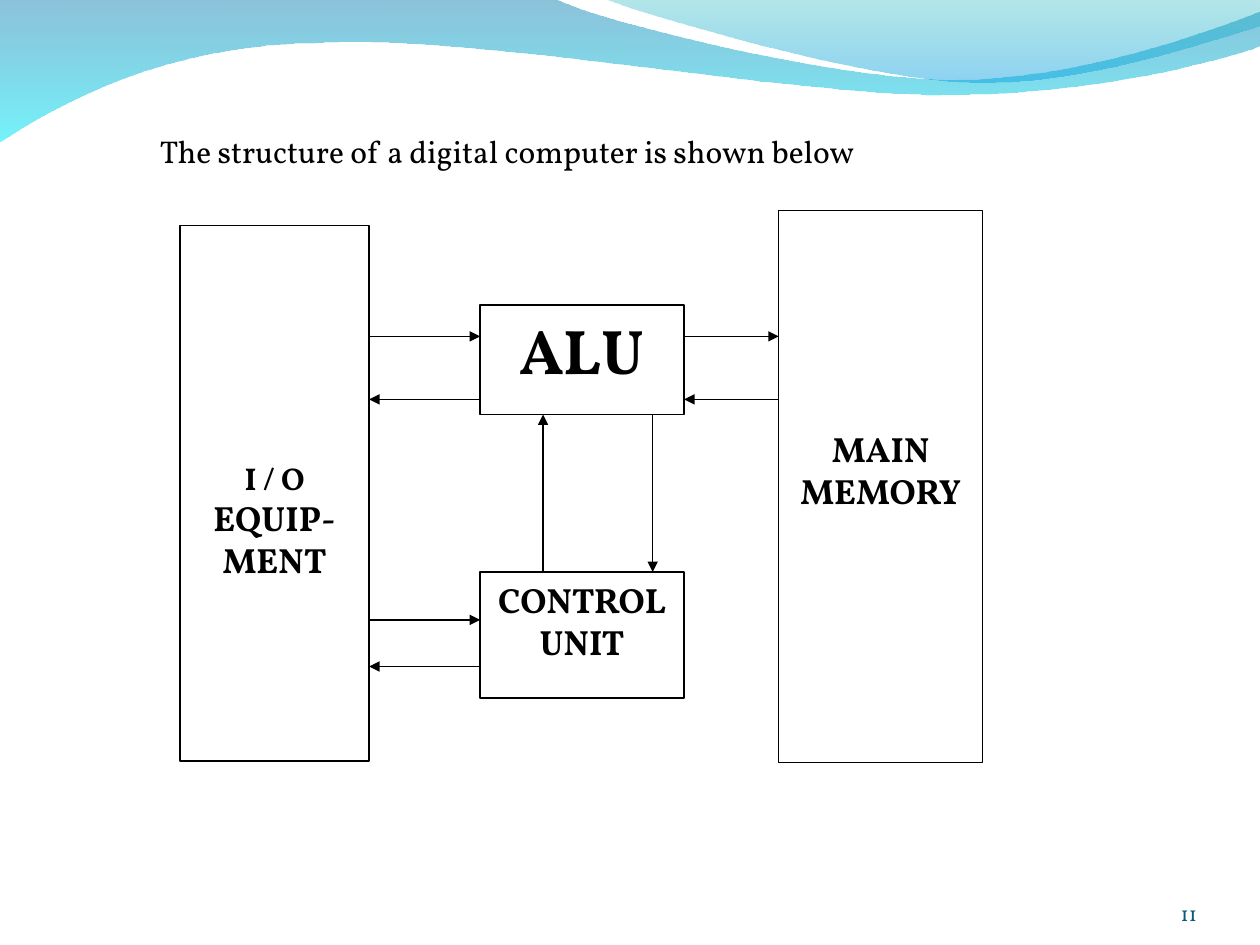
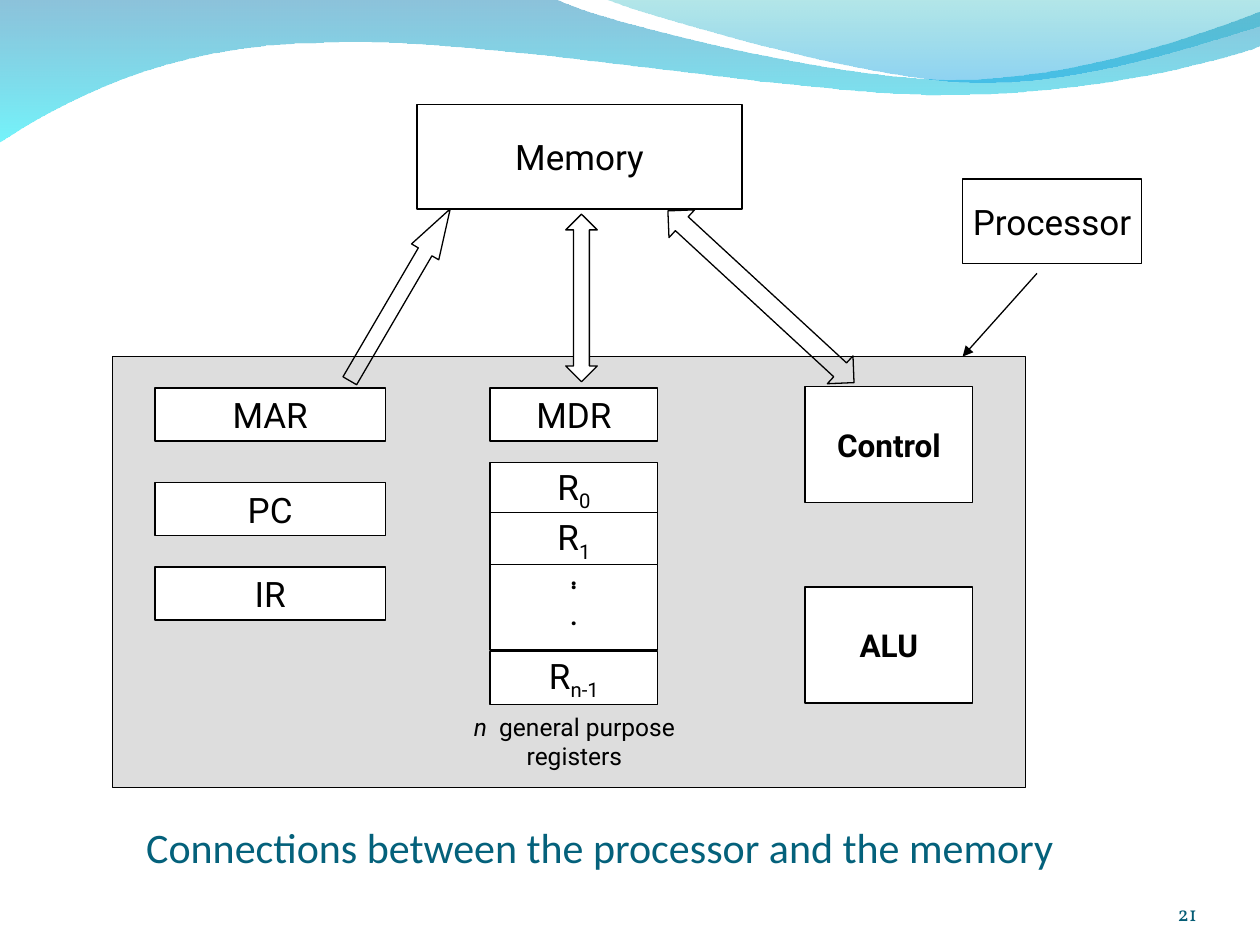
import pptx
import pptx.util
import pptx.dml.color
import pptx.enum.shapes
import pptx.enum.text
import pptx.oxml

Inches = pptx.util.Inches
Pt = pptx.util.Pt
SHAPE = pptx.enum.shapes.MSO_SHAPE
ALIGN = pptx.enum.text.PP_ALIGN
ANCHOR = pptx.enum.text.MSO_ANCHOR

COLORS = {
    "ink": "000000", "paper": "FFFFFF", "panel": "DDDDDD",
    "title": "04617B", "number": "045C75",
    "deep": "0079AF", "aqua": "00EBF8", "teal": "00ADB6", "sky": "009BE5",
}
SERIF, SANS, HEAD = "Vollkorn", "Roboto", "Calibri"
SUB = {"baseline": -25000}

WAVE = [(0, -0.01), (4.4, -0.01),
        (4.76, 0.17, 6.64, 0.63, 7.58, 0.63),
        (8.53, 0.63, 9.58, 0.26, 10, 0.09), (10.01, 0.36),
        (9.83, 0.44, 8.7, 0.76, 7.46, 0.75),
        (6.22, 0.75, 3.82, 0.28, 2.57, 0.34),
        (1.29, 0.35, 0.46, 0.83, -0.01, 1.13), (0, -0.01)]
CREST = [(4.79, -0.01),
         (5.09, 0.11, 6.82, 0.62, 7.69, 0.65),
         (8.56, 0.69, 9.61, 0.32, 10, 0.21), (10, 0), (4.79, -0.01)]


def rgb(name):
    return pptx.dml.color.RGBColor.from_string(COLORS[name])


def node(name, **attrs):
    words = " ".join(f'{key}="{value}"' for key, value in attrs.items())
    return pptx.oxml.parse_xml(
        f'<a:{name} xmlns:a="http://schemas.openxmlformats.org/drawingml/2006/main"'
        f' {words}/>')


def write(frame, lines, size=20, font=SANS, color="ink", bold=False,
          align=ALIGN.CENTER, anchor=ANCHOR.MIDDLE, wrap=False,
          inset=(0.1, 0.05, 0.1, 0.05), tight=0):
    frame.word_wrap = wrap
    frame.vertical_anchor = anchor
    (frame.margin_left, frame.margin_top,
     frame.margin_right, frame.margin_bottom) = map(Inches, inset)
    for i, line in enumerate(lines):
        para = frame.paragraphs[0] if i == 0 else frame.add_paragraph()
        para.alignment = align
        if i < tight:
            para.line_spacing = 0.1
        for part in [line] if isinstance(line, str) else line:
            words, extra = (part, {}) if isinstance(part, str) else part
            run = para.add_run()
            run.text = words
            run.font.size = Pt(size)
            run.font.name = font
            run.font.bold = bold
            run.font.color.rgb = rgb(color)
            for key, value in extra.items():
                run.font._element.set(key, str(value))


def place(box, x, y):
    return Inches(box[0] + x), Inches(box[1] + y)


def shape(slide, box, x, y, w, h, kind=SHAPE.RECTANGLE, fill="paper",
          heads=(), turn=0):
    item = slide.shapes.add_shape(kind, *place(box, x, y), Inches(w), Inches(h))
    item.shadow.inherit = False
    if fill:
        item.fill.solid()
        item.fill.fore_color.rgb = rgb(fill)
    else:
        item.fill.background()
    item.line.color.rgb = rgb("ink")
    item.line.width = Pt(0.75)
    for i, value in enumerate(heads):
        item.adjustments[i] = value
    item.rotation = turn
    return item


def block(slide, box, x, y, w, h, lines, **style):
    write(shape(slide, box, x, y, w, h).text_frame, lines, **style)


def label(slide, box, lines, **style):
    item = slide.shapes.add_textbox(*map(Inches, box))
    write(item.text_frame, lines, **style)


def arrow(slide, box, start, end):
    line = slide.shapes.add_connector(
        pptx.enum.shapes.MSO_CONNECTOR.STRAIGHT,
        *place(box, *start), *place(box, *end))
    line.line.color.rgb = rgb("ink")
    line.line.width = Pt(0.75)
    line.line._get_or_add_ln().append(node("tailEnd", type="triangle"))
    line._element.spPr.append(node("effectLst"))


def curve(item, parts):
    steps = iter(item._element.xpath(".//a:lnTo"))
    for part in parts:
        first = next(steps)
        if len(part) == 6:
            bend = node("cubicBezTo")
            first.addprevious(bend)
            for step in (first, next(steps), next(steps)):
                bend.append(step[0])
                step.getparent().remove(step)


def ribbon(slide, outline, stops):
    points = [(Inches(part[i]), Inches(part[i + 1]))
              for part in outline for i in range(0, len(part), 2)]
    pen = slide.shapes.build_freeform(*points[0], scale=1.0)
    pen.add_line_segments(points[1:], close=True)
    item = pen.convert_to_shape()
    curve(item, outline[1:])
    item.shadow.inherit = False
    item.line.fill.background()
    item.fill.gradient()
    item.fill.gradient_angle = 270
    for stop, (color, alpha), spot in zip(item.fill.gradient_stops, stops, (0, 1)):
        stop.position = spot
        stop.color.rgb = rgb(color)
        stop._gs[0].append(node("alpha", val=alpha * 1000))


def base(deck, number):
    slide = deck.slides.add_slide(deck.slide_layouts[6])
    ribbon(slide, WAVE, [("deep", 45), ("aqua", 55)])
    ribbon(slide, CREST, [("teal", 30), ("sky", 45)])
    label(slide, (8.67, 6.95, 0.83, 0.4), [number], size=12, font=SERIF,
          color="number", align=ALIGN.RIGHT, anchor=ANCHOR.BOTTOM, wrap=True,
          inset=(0, 0, 0, 0))
    return slide


def layout(slide, box):
    units = [
        (0, 0.12, 1.5, 4.25, 1.85, 20, [[("I / O", {"sz": 1800})], "EQUIP-", "MENT"]),
        (4.75, 0, 1.62, 4.38, 1.72, 20, ["MAIN", "MEMORY"]),
        (2.38, 0.75, 1.62, 0.87, 0.05, 36, ["ALU"]),
        (2.38, 2.87, 1.62, 1, 0.05, 20, ["CONTROL", "UNIT"]),
    ]
    for x, y, w, h, top, size, lines in units:
        block(slide, box, x, y, w, h, lines, size=size, font=SERIF, bold=True,
              anchor=ANCHOR.TOP, wrap=True, inset=(0.1, top, 0.1, 0.05))
    for left, right, out, back in [(1.5, 2.38, 1, 1.5), (4, 4.75, 1, 1.5),
                                   (1.5, 2.38, 3.25, 3.62)]:
        arrow(slide, box, (left, out), (right, out))
        arrow(slide, box, (right, back), (left, back))
    arrow(slide, box, (2.88, 2.87), (2.88, 1.62))
    arrow(slide, box, (3.75, 1.62), (3.75, 2.87))


def chip(slide, box):
    shape(slide, box, 0, 0, box[2], box[3], fill="panel")
    for name, y in [("MAR", 0.25), ("PC", 1), ("IR", 1.67)]:
        block(slide, box, 0.34, y, 1.83, 0.42, [name])
    block(slide, box, 3, 0.25, 1.33, 0.42, ["MDR"])
    for index, y in [("0", 0.84), ("1", 1.24), ("n-1", 2.34)]:
        block(slide, box, 3, y, 1.33, 0.42, [["R", (index, SUB)]])
    block(slide, box, 3, 1.65, 1.33, 0.68, [".", ".", "."], tight=2)
    for name, y in [("Control", 0.24), ("ALU", 1.83)]:
        block(slide, box, 5.5, y, 1.33, 0.92, [name], size=18, bold=True, wrap=True)
    label(slide, (box[0] + 2.67, box[1] + 2.84, 2, 0.42),
          [[("n", {"i": 1, "spc": 350}), " general purpose"], "registers"],
          size=14, wrap=True)


def links(slide, box):
    block(slide, box, 2.42, 0, 2.58, 0.83, ["Memory"])
    both = SHAPE.UP_DOWN_ARROW
    shape(slide, box, 3.6, 0.87, 0.25, 1.33, both, heads=(1.07, 0.5))
    shape(slide, box, 2.16, 0.72, 0.25, 1.58, SHAPE.UP_ARROW, None, (0.5, 1.58), 30.3)
    shape(slide, box, 5, 0.52, 0.3, 2.01, both, None, (1.36, 0.5), 312.7)
    block(slide, box, 6.75, 0.59, 1.42, 0.67, ["Processor"])
    arrow(slide, box, (7.34, 1.34), (6.75, 2))


def main():
    deck = pptx.Presentation()
    deck.slide_width, deck.slide_height = Inches(10), Inches(7.5)

    slide = base(deck, "11")
    label(slide, (1.17, 1, 6.33, 0.4),
          ["The structure of a digital computer is shown below"], size=18,
          font=SERIF, align=ALIGN.LEFT, anchor=ANCHOR.TOP, wrap=True)
    layout(slide, (1.43, 1.67, 6.37, 4.38))

    slide = base(deck, "21")
    label(slide, (0.56, 6.41, 8.52, 0.51),
          ["Connections between the processor and the memory"], size=24,
          font=HEAD, color="title", align=ALIGN.LEFT, anchor=ANCHOR.BOTTOM,
          wrap=True, inset=(0.6, 0.05, 0, 0))
    chip(slide, (0.89, 2.83, 7.25, 3.42))
    links(slide, (0.89, 0.83, 8.17, 2))

    deck.save("out.pptx")


if __name__ == "__main__":
    main()
